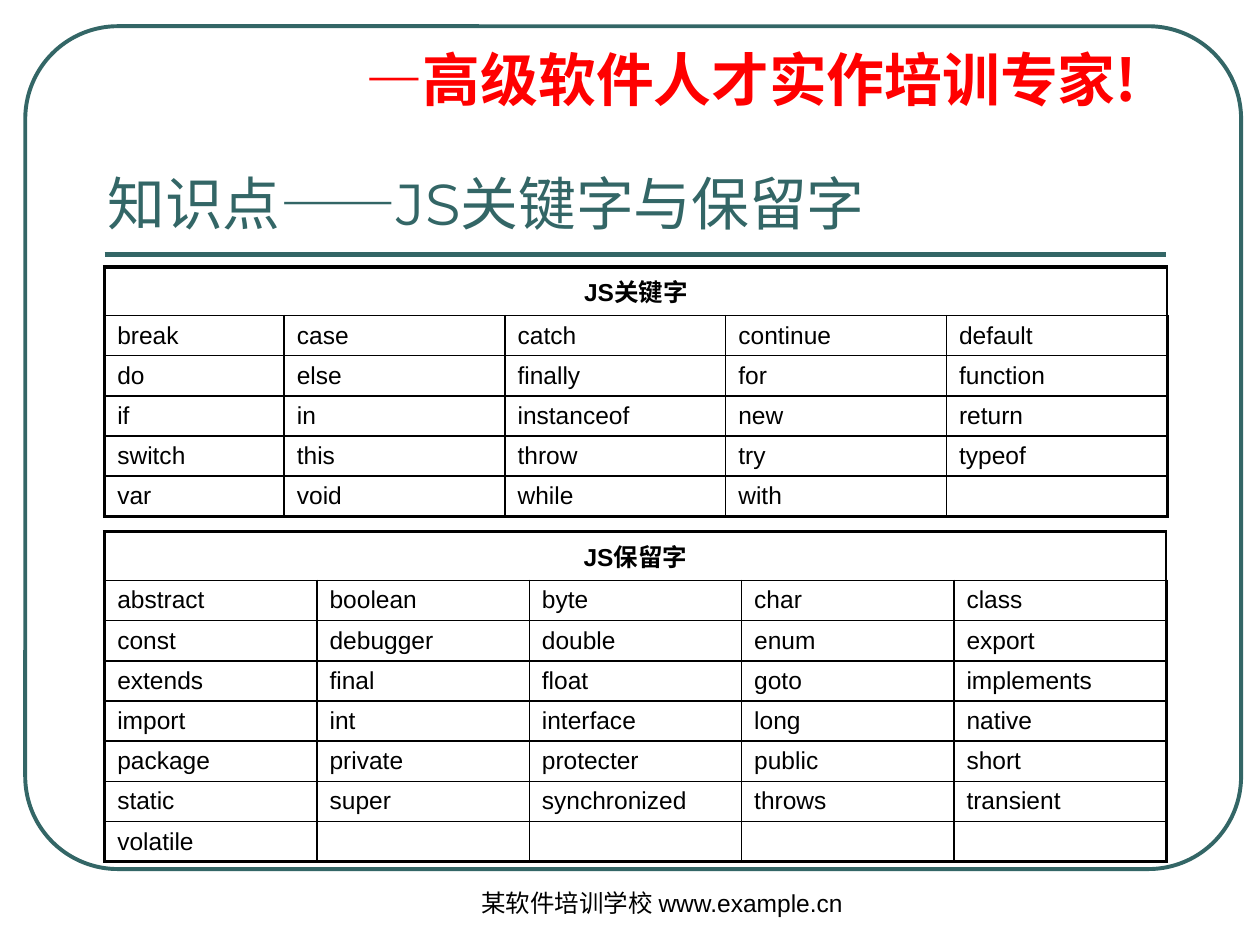
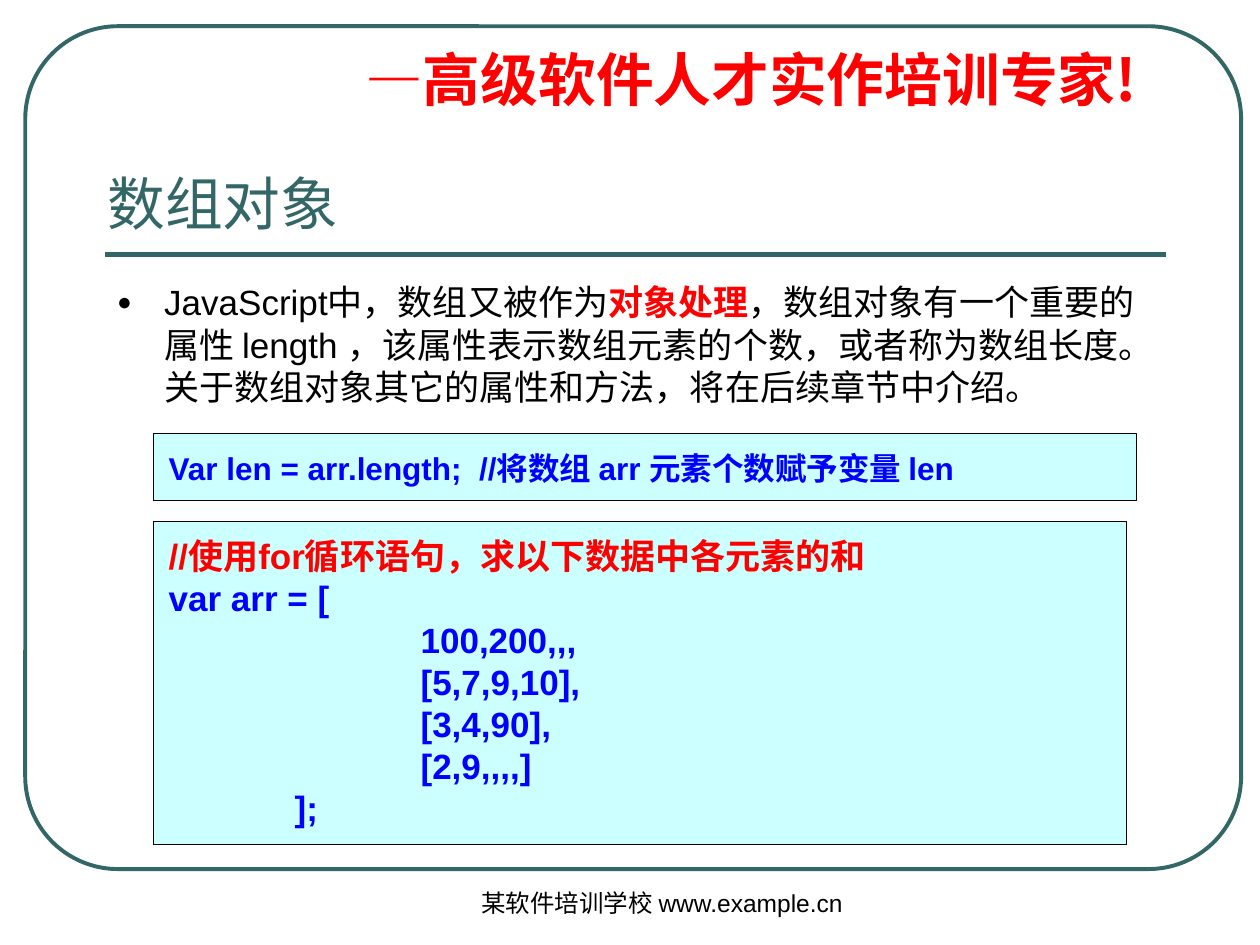
from lxml import etree
from pptx import Presentation
from pptx.dml.color import RGBColor
from pptx.enum.shapes import MSO_CONNECTOR, MSO_SHAPE
from pptx.enum.text import MSO_ANCHOR, PP_ALIGN
from pptx.oxml.ns import qn
from pptx.util import Cm, Pt

TOP, BOTTOM = MSO_ANCHOR.TOP, MSO_ANCHOR.BOTTOM
LEFT, CENTER = PP_ALIGN.LEFT, PP_ALIGN.CENTER
ROUNDED, RECTANGLE = MSO_SHAPE.ROUNDED_RECTANGLE, MSO_SHAPE.RECTANGLE
STRAIGHT = MSO_CONNECTOR.STRAIGHT

TEAL, RED, BLUE, BLACK, CYAN = "336666", "FF0000", "0000FF", "000000", "CCFFFF"
DISPLAY, CHINESE, BODY = "Montserrat", "Noto Sans CJK SC", "Arial"
TITLE_SIZE = 33
CONTENT_LEFT, CONTENT_WIDTH = 2.11, 21.4
HEADER_HEIGHT, ROW_HEIGHT = 0.98, 0.81
THICK, THIN = 2.25, 1
TAB = 2.54

KEYWORDS = """break case catch continue default
do else finally for function
if in instanceof new return
switch this throw try typeof
var void while with"""

RESERVED_WORDS = """abstract boolean byte char class
const debugger double enum export
extends final float goto implements
import int interface long native
package private protecter public short
static super synchronized throws transient
volatile"""

LOOP_CODE = [
    ("//使用for循环语句，求以下数据中各元素的和", RED, 0),
    ("var arr = [", BLUE, 0),
    ("100,200,,,", BLUE, 2),
    ("[5,7,9,10],", BLUE, 2),
    ("[3,4,90],", BLUE, 2),
    ("[2,9,,,,]", BLUE, 2),
    ("];", BLUE, 1),
]


def color(value):
    return RGBColor.from_string(value)


def box_lengths(box):
    return [Cm(length) for length in box]


def style(paragraph, name, size, ink, bold=False, align=LEFT, spacing=None):
    paragraph.font.name = name
    paragraph.font.size = Pt(size)
    paragraph.font.color.rgb = color(ink)
    paragraph.font.bold = bold
    paragraph.alignment = align
    if spacing:
        paragraph.line_spacing = Pt(spacing)


def indent(paragraph, margin, first_line=0):
    properties = paragraph._p.get_or_add_pPr()
    properties.set("marL", str(Cm(margin)))
    properties.set("indent", str(Cm(first_line)))
    return properties


def add_text(slide, box):
    frame = slide.shapes.add_textbox(*box_lengths(box)).text_frame
    frame.word_wrap = True
    return frame.paragraphs[0]


def add_frame(slide, box):
    shape = slide.shapes.add_shape(ROUNDED, *box_lengths(box))
    shape.shadow.inherit = False
    shape.adjustments[0] = 0.11
    shape.fill.background()
    shape.line.color.rgb = color(TEAL)
    shape.line.width = Pt(2.25)


def add_rule(slide, left, top, width):
    rule = slide.shapes.add_connector(
        STRAIGHT, Cm(left), Cm(top), Cm(left + width), Cm(top))
    rule.line.color.rgb = color(TEAL)
    rule.line.width = Pt(3)
    etree.SubElement(rule._element.spPr, qn("a:effectLst"))


def add_slogan(slide, box):
    paragraph = add_text(slide, box)
    indent(paragraph, 0.95, -0.95)
    style(paragraph, DISPLAY, TITLE_SIZE, RED, bold=True, spacing=35.5)
    paragraph.add_run().text = "—"
    run = paragraph.add_run()
    run.text = "高级软件人才实作培训专家!"
    run.font.name = CHINESE


def add_footer(slide, box):
    paragraph = add_text(slide, box)
    paragraph.text = "某软件培训学校 www.example.cn"
    style(paragraph, BODY, 14, BLACK, align=CENTER)


def place_title(slide, box, text):
    title = slide.shapes.title
    title.left, title.top, title.width, title.height = box_lengths(box)
    title.text_frame.text = text
    title.text_frame.vertical_anchor = BOTTOM
    style(title.text_frame.paragraphs[0], DISPLAY, TITLE_SIZE, TEAL)
    slide.shapes._spTree.append(title._element)


def add_titled_slide(presentation, text):
    slide = presentation.slides.add_slide(presentation.slide_layouts[5])
    add_frame(slide, (0.51, 0.53, 24.51, 16.99))
    add_rule(slide, CONTENT_LEFT, 5.13, CONTENT_WIDTH)
    add_slogan(slide, (7.11, 0.91, 16, 1.52))
    add_footer(slide, (9.32, 17.78, 8.05, 1.27))
    place_title(slide, (1.91, 0.91, CONTENT_WIDTH, 3.99), text)
    return slide


def set_borders(cell, widths):
    properties = cell._tc.get_or_add_tcPr()
    for position, (side, width) in enumerate(widths.items()):
        line = etree.Element(qn(f"a:ln{side}"), w=str(Pt(width)))
        fill = etree.SubElement(line, qn("a:solidFill"))
        etree.SubElement(fill, qn("a:srgbClr"), val=BLACK)
        properties.insert(position, line)


def add_word_table(slide, left, top, widths, heading, text):
    words = [line.split() for line in text.splitlines()]
    row_count, column_count = len(words) + 1, len(widths)
    height = HEADER_HEIGHT + ROW_HEIGHT * len(words)
    table = slide.shapes.add_table(
        row_count, column_count,
        *box_lengths((left, top, sum(widths), height))).table
    table.first_row = table.horz_banding = False
    for column, width in zip(table.columns, widths):
        column.width = Cm(width)
    for index, row in enumerate(table.rows):
        row.height = Cm(ROW_HEIGHT if index else HEADER_HEIGHT)
        values = words[index - 1] if index else [heading]
        for position, cell in enumerate(row.cells):
            cell.fill.background()
            set_borders(cell, {
                "L": THIN if position else THICK,
                "R": THICK if position == column_count - 1 else THIN,
                "T": THIN if index else THICK,
                "B": THICK if index == row_count - 1 else THIN,
            })
            paragraph = cell.text_frame.paragraphs[0]
            if position < len(values):
                paragraph.text = values[position]
            style(paragraph, BODY, 14, BLACK, bold=index == 0,
                  align=LEFT if index else CENTER)
    table.cell(0, 0).merge(table.cell(0, column_count - 1))


def add_bullet_text(slide, box, parts):
    paragraph = add_text(slide, box)
    properties = indent(paragraph, 0.95, -0.95)
    etree.SubElement(properties, qn("a:buSzPct"), val="70000")
    etree.SubElement(properties, qn("a:buFont"), typeface=BODY)
    etree.SubElement(properties, qn("a:buChar"), char="●")
    style(paragraph, BODY, 20, BLACK, spacing=24)
    for text, emphasized in parts:
        run = paragraph.add_run()
        run.text = text
        if emphasized:
            run.font.bold = True
            run.font.color.rgb = color(RED)


def add_code_box(slide, box, lines, size, spacing, margin):
    shape = slide.shapes.add_shape(RECTANGLE, *box_lengths(box))
    shape.shadow.inherit = False
    shape.fill.solid()
    shape.fill.fore_color.rgb = color(CYAN)
    shape.line.color.rgb = color(BLACK)
    shape.line.width = Pt(0.75)
    frame = shape.text_frame
    frame.word_wrap = True
    frame.vertical_anchor = TOP
    frame.margin_left = frame.margin_right = Cm(0.3)
    frame.margin_top = frame.margin_bottom = Cm(margin)
    for index, (text, ink, level) in enumerate(lines):
        paragraph = frame.add_paragraph() if index else frame.paragraphs[0]
        paragraph.text = text
        indent(paragraph, TAB * level)
        style(paragraph, BODY, size, ink, bold=True, spacing=spacing)


def build_keyword_slide(presentation):
    slide = add_titled_slide(presentation, "知识点——JS关键字与保留字")
    add_word_table(slide, CONTENT_LEFT, 5.38, [3.62] + [4.45] * 4,
                   "JS关键字", KEYWORDS)
    add_word_table(slide, CONTENT_LEFT, 10.72, [4.28] * 5,
                   "JS保留字", RESERVED_WORDS)


def build_array_slide(presentation):
    slide = add_titled_slide(presentation, "数组对象")
    add_bullet_text(slide, (CONTENT_LEFT, 5.54, CONTENT_WIDTH, 3.2), [
        ("JavaScript中，数组又被作为", False),
        ("对象处理", True),
        ("，数组对象有一个重要的属性 length ，该属性表示数组元素的个数，"
         "或者称为数组长度。关于数组对象其它的属性和方法，"
         "将在后续章节中介绍。", False),
    ])
    length_code = [
        ("Var len = arr.length;  //将数组 arr 元素个数赋予变量 len", BLUE, 0)]
    add_code_box(slide, (3.1, 8.74, 19.81, 1.35), length_code, 18, 25, 0.2)
    add_code_box(slide, (3.1, 10.52, 19.61, 6.5), LOOP_CODE, 20, 24, 0.25)


presentation = Presentation()
presentation.slide_width, presentation.slide_height = Cm(25.4), Cm(19.05)
build_keyword_slide(presentation)
build_array_slide(presentation)
presentation.save("out.pptx")
